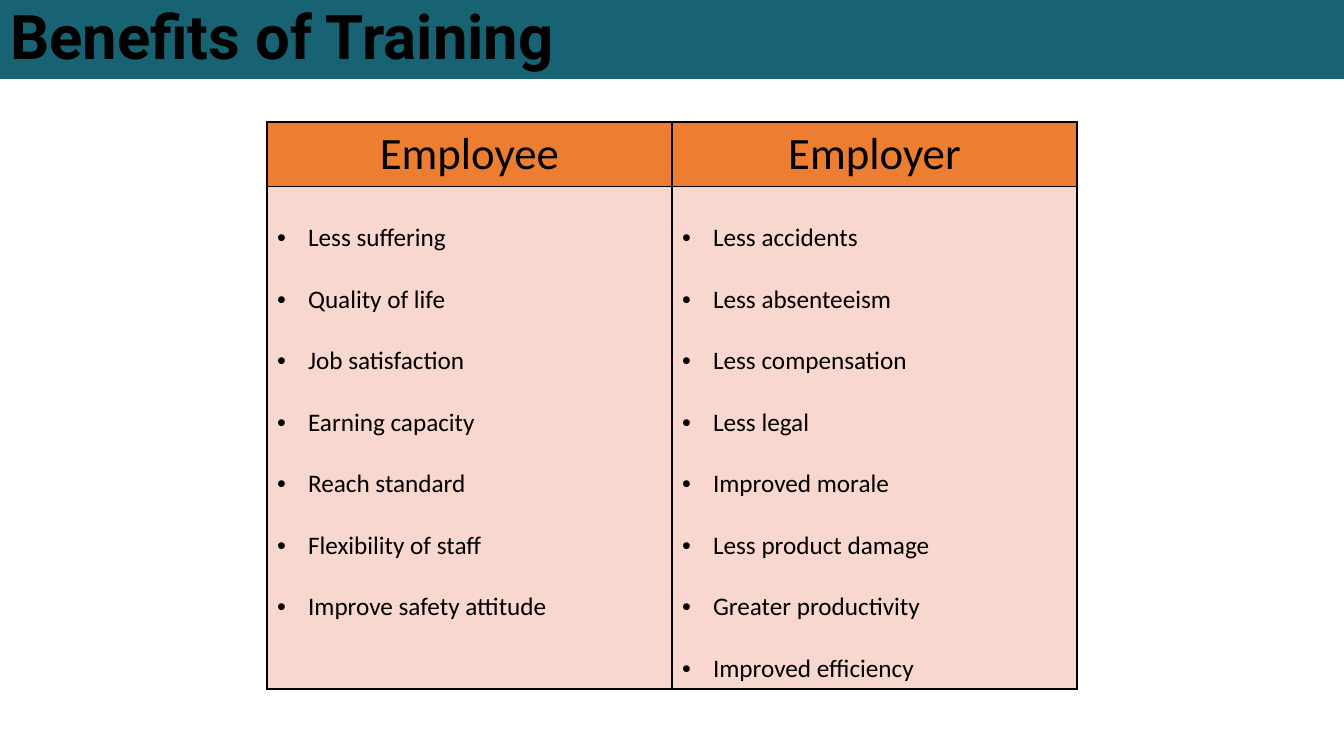
"""Build the Benefits of Training slide with its two-column table."""
import pptx
import pptx.dml.color
import pptx.enum.text
import pptx.oxml.xmlchemy
import pptx.oxml.ns
import pptx.util
from lxml import etree

SCALE = 914400 / 100.8
ALIGN = pptx.enum.text.PP_ALIGN
ANCHOR = pptx.enum.text.MSO_ANCHOR
BENEFITS = {
    "Employee": ["Less suffering", "Quality of life", "Job satisfaction", "Earning capacity",
                 "Reach standard", "Flexibility of staff", "Improve safety attitude"],
    "Employer": ["Less accidents", "Less absenteeism", "Less compensation", "Less legal",
                 "Improved morale", "Less product damage", "Greater productivity",
                 "Improved efficiency"],
}


def paint(color_format, color):
    color_format.rgb = pptx.dml.color.RGBColor.from_string(color)


def write(frame, lines, font="Calibri", size=18, bold=False, align=ALIGN.LEFT,
          spacing=1.0, indent=0):
    for index, line in enumerate(lines):
        paragraph = frame.add_paragraph() if index else frame.paragraphs[0]
        paragraph.alignment = align
        paragraph.line_spacing = spacing
        run = paragraph.add_run()
        run.text = line
        run.font.name = font
        run.font.size = pptx.util.Pt(size)
        run.font.bold = bold
        paint(run.font.color, "000000")
        if indent:
            properties = paragraph._p.get_or_add_pPr()
            properties.set("marL", str(round(indent * SCALE)))
            properties.set("indent", str(round(-indent * SCALE)))
            for tag, name, value in (("a:buFont", "typeface", "Arial"), ("a:buChar", "char", "•")):
                etree.SubElement(properties, pptx.oxml.ns.qn(tag)).set(name, value)


presentation = pptx.Presentation()
presentation.slide_width = round(1344 * SCALE)
presentation.slide_height = round(756 * SCALE)
slide = presentation.slides.add_slide(presentation.slide_layouts[5])

title = slide.shapes.title
title.left, title.top, title.width, title.height = (round(n * SCALE) for n in (0, 0, 1344, 79))
title.fill.solid()
paint(title.fill.fore_color, "176373")
title.text_frame.auto_size = pptx.enum.text.MSO_AUTO_SIZE.NONE
title.text_frame.vertical_anchor = ANCHOR.MIDDLE
write(title.text_frame, ["Benefits of Training"], font="Roboto", size=44, bold=True, spacing=0.9)

frame = slide.shapes.add_table(2, 2, *(round(n * SCALE) for n in (267, 122, 810, 525)))
table = frame.table
for row, height in zip(table.rows, (62, 463)):
    row.height = round(height * SCALE)

for column, (heading, benefits) in enumerate(BENEFITS.items()):
    header, body = table.cell(0, column), table.cell(1, column)
    header.vertical_anchor = ANCHOR.MIDDLE
    write(header.text_frame, [heading], size=32, align=ALIGN.CENTER)
    write(body.text_frame, benefits, align=ALIGN.JUSTIFY, spacing=2.0, indent=31)
    for cell, color in ((header, "ED7D31"), (body, "F8D7CE")):
        cell.fill.solid()
        paint(cell.fill.fore_color, color)
        properties = cell._tc.get_or_add_tcPr()
        for position, side in enumerate(("lnL", "lnR", "lnT", "lnB")):
            border = etree.Element(pptx.oxml.ns.qn(f"a:{side}"), w=str(pptx.util.Pt(1)))
            solid = etree.SubElement(border, pptx.oxml.ns.qn("a:solidFill"))
            etree.SubElement(solid, pptx.oxml.ns.qn("a:srgbClr"), val="000000")
            properties.insert(position, border)

presentation.save("out.pptx")
